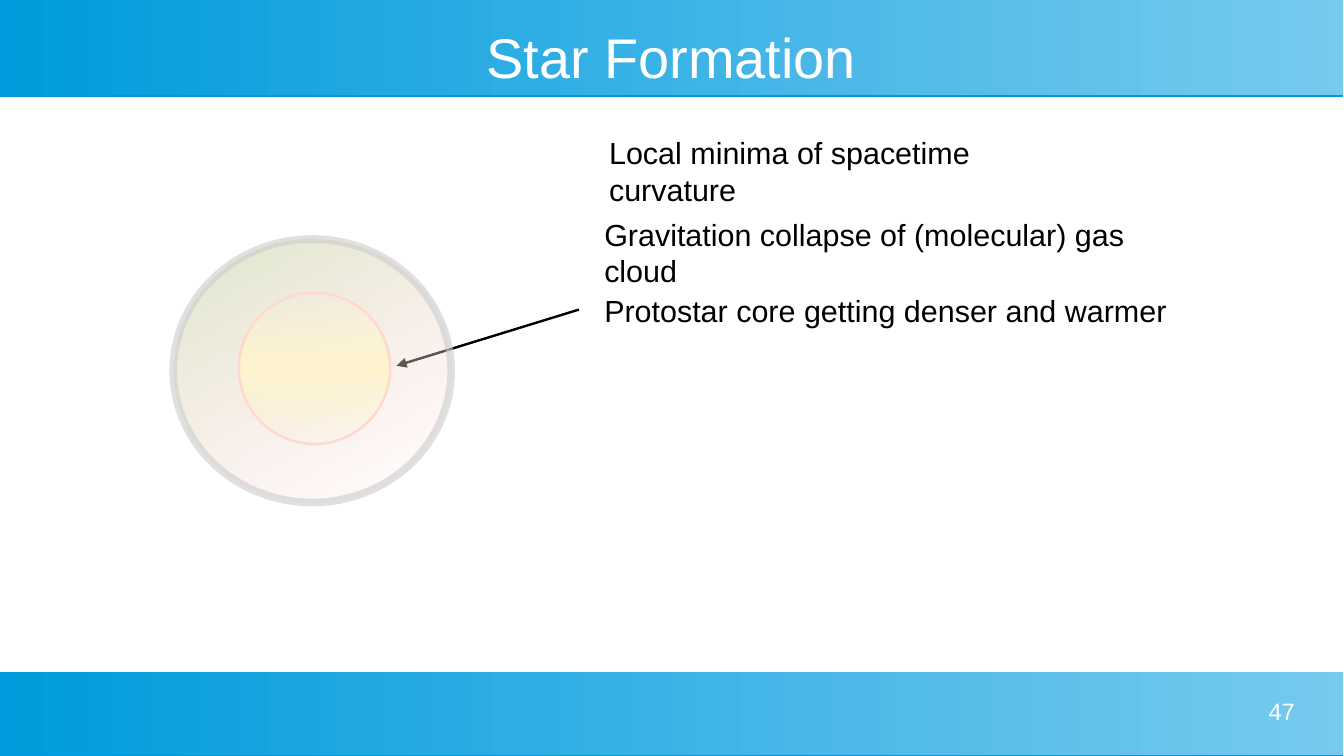
from lxml import etree
from pptx import Presentation, util as u
from pptx.dml.color import RGBColor
from pptx.enum import shapes, text
from pptx.oxml.ns import qn

WHITE = RGBColor(0xFF, 0xFF, 0xFF)
BLACK = RGBColor(0, 0, 0)
BLUE = RGBColor(0x00, 0x9B, 0xDD)
LIGHT_BLUE = RGBColor(0x77, 0xCA, 0xEE)
GAS_GREEN = RGBColor(0xDD, 0xE8, 0xCB)
GAS_PINK = RGBColor(0xFF, 0xD7, 0xD7)
CLOUD_EDGE = RGBColor(0xCC, 0xCC, 0xCC)
CORE_YELLOW = RGBColor(0xFF, 0xF5, 0xCE)
CORE_EDGE = RGBColor(0xFF, 0xD8, 0xCE)

WIDTH, HEIGHT = 28.0, 15.75
BAND_WIDTH = 27.98


def cm(*lengths):
    return [u.Cm(length) for length in lengths]


def add_color(parent, color, alpha=100):
    node = etree.SubElement(parent, qn("a:srgbClr"), val=str(color))
    if alpha < 100:
        etree.SubElement(node, qn("a:alpha"), val=str(alpha * 1000))


def set_gradient(shape, stops, angle):
    """Stops are (position %, colour, opacity %); the angle runs clockwise."""
    shape.fill.gradient()
    gradient = shape._element.spPr.find(qn("a:gradFill"))
    for child in list(gradient):
        gradient.remove(child)
    stop_list = etree.SubElement(gradient, qn("a:gsLst"))
    for position, color, alpha in stops:
        stop = etree.SubElement(stop_list, qn("a:gs"), pos=str(position * 1000))
        add_color(stop, color, alpha)
    etree.SubElement(gradient, qn("a:lin"), ang=str(angle * 60000), scaled="0")


def set_text(shape, wording, size, color, **paragraph_format):
    """Fill a text shape, with paragraph settings given by name."""
    frame = shape.text_frame
    frame.word_wrap = True
    frame.auto_size = text.MSO_AUTO_SIZE.NONE
    frame.text = wording
    paragraph = frame.paragraphs[0]
    for name, value in paragraph_format.items():
        setattr(paragraph, name, value)
    font_format = {"name": "Arial", "size": u.Pt(size)}
    for name, value in font_format.items():
        setattr(paragraph.font, name, value)
    paragraph.font.color.rgb = color


def clear_margins(shape):
    for side in ("left", "top", "right", "bottom"):
        setattr(shape.text_frame, f"margin_{side}", 0)


def add_band(slide, box):
    band = slide.shapes.add_shape(shapes.MSO_SHAPE.RECTANGLE, *cm(*box))
    set_gradient(band, [(0, LIGHT_BLUE, 100), (100, BLUE, 100)], 180)
    band.line.fill.background()
    # Thin blue rule below the band
    band.shadow.inherit = False
    effects = band._element.spPr.find(qn("a:effectLst"))
    shadow = etree.SubElement(effects, qn("a:outerShdw"), blurRad="0",
                              dist=str(u.Pt(0.9)), dir="5400000",
                              algn="ctr", rotWithShape="0")
    add_color(shadow, BLUE)


def add_header(slide, box):
    left, top, width, height = box
    add_band(slide, box)
    title = slide.shapes.title
    slide.shapes._spTree.append(title._element)
    title.left, title.top, title.width, title.height = cm(
        left + 1, top + 0.5, width - 2, 1.33)
    clear_margins(title)
    title.text_frame.vertical_anchor = text.MSO_ANCHOR.MIDDLE
    set_text(title, "Star Formation", 33, WHITE, alignment=text.PP_ALIGN.CENTER)


def add_footer(slide, box):
    left, top, width, height = box
    add_band(slide, box)
    number = slide.shapes.add_textbox(
        *cm(left + width - 7.48, top + 0.52, 6.48, 1))
    clear_margins(number)
    set_text(number, "47", 14, WHITE, alignment=text.PP_ALIGN.RIGHT)


def add_stages(slide, box):
    left, top, width, height = box
    stages = [
        (0.1, 0, 10.82, "Local minima of spacetime curvature"),
        (0, 1.7, 12.97, "Gravitation collapse of (molecular) gas cloud"),
        (0, 3.3, width, "Protostar core getting denser and warmer"),
    ]
    for indent, drop, stage_width, wording in stages:
        stage = slide.shapes.add_textbox(
            *cm(left + indent, top + drop, stage_width, 0.95))
        set_text(stage, wording, 18, BLACK)


def add_arrow(slide, start, end):
    arrow = slide.shapes.add_connector(
        shapes.MSO_CONNECTOR.STRAIGHT, *cm(*start, *end))
    arrow.line.color.rgb = BLACK
    arrow.line.width = u.Pt(1.42)
    etree.SubElement(arrow.line._get_or_add_ln(), qn("a:tailEnd"), type="triangle")
    etree.SubElement(arrow._element.spPr, qn("a:effectLst"))


def add_sphere(slide, box, stops, angle, edge, edge_width, edge_alpha=100):
    sphere = slide.shapes.add_shape(shapes.MSO_SHAPE.OVAL, *cm(*box))
    set_gradient(sphere, stops, angle)
    sphere.line.color.rgb = edge
    sphere.line.width = u.Pt(edge_width)
    if edge_alpha < 100:
        color = sphere.line._get_or_add_ln().find(".//" + qn("a:srgbClr"))
        etree.SubElement(color, qn("a:alpha"), val=str(edge_alpha * 1000))
    sphere.shadow.inherit = False


def add_protostar(slide, box):
    left, top, width, height = box
    # Arrow from the text to the core, behind the cloud
    add_arrow(slide, (left + 8.45, top + 1.47), (left + 4.65, top + 2.64))
    # Gas cloud
    add_sphere(slide, box, [(0, GAS_GREEN, 100), (100, GAS_PINK, 0)], 60,
               CLOUD_EDGE, 4.5, 60)
    # Core
    glow = [(0, CORE_YELLOW, 0), (50, CORE_YELLOW, 100), (100, CORE_YELLOW, 0)]
    add_sphere(slide, (left + 1.37, top + 1.12, 3.15, 3.15), glow, 90,
               CORE_EDGE, 1.42)


def main():
    presentation = Presentation()
    presentation.slide_width, presentation.slide_height = cm(WIDTH, HEIGHT)
    slide = presentation.slides.add_slide(presentation.slide_layouts[5])
    add_header(slide, (0, 0, BAND_WIDTH, 1.99))
    add_footer(slide, (0, 14, BAND_WIDTH, 1.73))
    add_stages(slide, (12.34, 2.67, 12.95, 4.95))
    add_protostar(slide, (3.61, 4.98, 5.79, 5.49))
    presentation.save("out.pptx")


if __name__ == "__main__":
    main()
